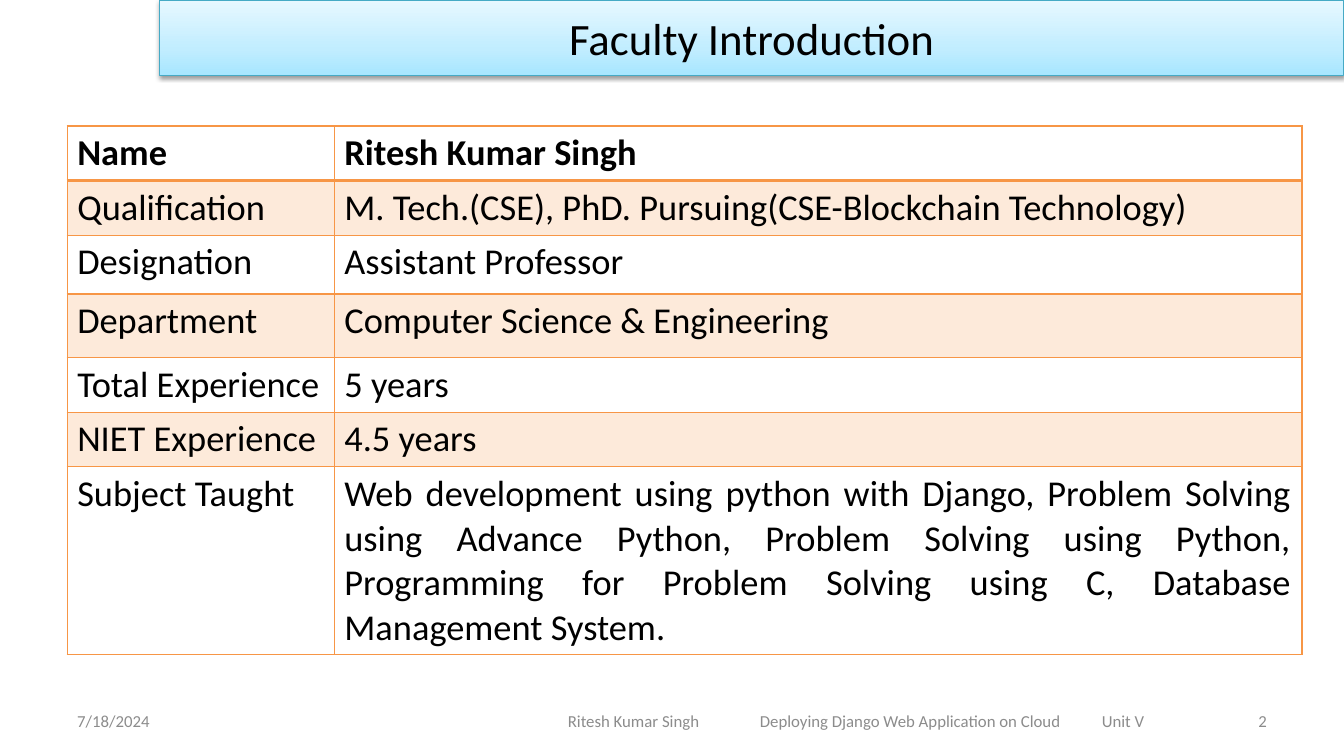
"""Build the faculty introduction slide: title band, profile table and footer."""
from lxml.etree import SubElement
from pptx import Presentation
from pptx.dml.color import RGBColor
from pptx.enum.text import MSO_ANCHOR, MSO_AUTO_SIZE, PP_ALIGN
from pptx.oxml.ns import qn
from pptx.util import Pt

TITLE = "Faculty Introduction"
PROFILE = [
    ("Name", "Ritesh Kumar Singh", 39),
    ("Qualification", "M. Tech.(CSE), PhD. Pursuing(CSE-Blockchain Technology)", 39),
    ("Designation", "Assistant Professor", 42),
    ("Department", "Computer Science & Engineering", 45.5),
    ("Total Experience", "5 years", 39),
    ("NIET Experience", "4.5 years", 39),
    ("Subject Taught", "Web development using python with Django, Problem Solving "
     "using Advance Python, Problem Solving using Python, Programming for Problem "
     "Solving using C, Database Management System.", 134),
]
COLUMN_WIDTHS = (190.8, 691.2)
FOOTERS = [
    ("7/18/2024", 48, 224, PP_ALIGN.LEFT),
    ("Ritesh Kumar Singh\tDeploying Django Web Application on Cloud\tUnit V",
     398.5, 450, PP_ALIGN.LEFT),
    ("2", 688, 224, PP_ALIGN.RIGHT),
]
FOOTER_TABS = (137.2, 381.4)
COLORS = {
    "text": "000000", "footer": "8C8C8C", "band_line": "46AAC5",
    "border": "F79646", "stripe": "FDEADA",
}
BAND_STOPS = [(0, "A7E6FF"), (35, "C1EDFF"), (100, "E7F8FF")]


def color(name):
    return RGBColor.from_string(COLORS[name])


def add_element(parent, tag, **attributes):
    return SubElement(parent, qn(tag), {key: str(value) for key, value in attributes.items()})


def format_text(frame, size, color_name, align, bold=False):
    for para in frame.paragraphs:
        para.alignment = align
        for span in para.runs:
            span.font.name = "Calibri"
            span.font.size = Pt(size)
            span.font.bold = bold
            span.font.color.rgb = color(color_name)


def place(shape, left, top, width, height):
    shape.left, shape.top = Pt(left), Pt(top)
    shape.width, shape.height = Pt(width), Pt(height)


def add_title(page):
    title = page.shapes.title
    place(title, 114, 0, 846, 54)
    properties = title._element.spPr
    gradient = add_element(properties, "a:gradFill", rotWithShape=1)
    stops = add_element(gradient, "a:gsLst")
    for position, value in BAND_STOPS:
        stop = add_element(stops, "a:gs", pos=position * 1000)
        add_element(stop, "a:srgbClr", val=value)
    add_element(gradient, "a:lin", ang=270 * 60000, scaled=1)
    title.line.color.rgb = color("band_line")
    title.line.width = Pt(0.75)
    effects = add_element(properties, "a:effectLst")
    shadow = add_element(effects, "a:outerShdw", blurRad=Pt(3.1), dist=Pt(1.6),
                         dir=90 * 60000, rotWithShape=0)
    shade = add_element(shadow, "a:srgbClr", val=COLORS["text"])
    add_element(shade, "a:alpha", val=38000)
    frame = title.text_frame
    frame.text = TITLE
    frame.auto_size = MSO_AUTO_SIZE.NONE
    frame.vertical_anchor = MSO_ANCHOR.MIDDLE
    format_text(frame, 32, "text", PP_ALIGN.CENTER)


def add_borders(cell, bottom_width):
    properties = cell._tc.get_or_add_tcPr()
    widths = {"a:lnL": 1, "a:lnR": 1, "a:lnT": 1, "a:lnB": bottom_width}
    for tag, width in widths.items():
        line = add_element(properties, tag, w=Pt(width))
        fill = add_element(line, "a:solidFill")
        add_element(fill, "a:srgbClr", val=COLORS["border"])


def add_profile(page):
    height = sum(row[2] for row in PROFILE)
    table = page.shapes.add_table(len(PROFILE), 2, Pt(48), Pt(90),
                                  Pt(sum(COLUMN_WIDTHS)), Pt(height)).table
    table.first_row = table.horz_banding = False
    for column, width in zip(table.columns, COLUMN_WIDTHS):
        column.width = Pt(width)
    for index, (label, value, row_height) in enumerate(PROFILE):
        table.rows[index].height = Pt(row_height)
        header, last = index == 0, index == len(PROFILE) - 1
        for cell, words in zip(table.rows[index].cells, (label, value)):
            cell.text = words
            align = PP_ALIGN.JUSTIFY if last and words == value else PP_ALIGN.LEFT
            format_text(cell.text_frame, 26, "text", align, header)
            add_borders(cell, 2 if header else 1)
            if index % 2:
                cell.fill.solid()
                cell.fill.fore_color.rgb = color("stripe")
            else:
                cell.fill.background()


def add_footers(page):
    for words, left, width, align in FOOTERS:
        box = page.shapes.add_textbox(Pt(left), Pt(500.5), Pt(width), Pt(28.8))
        frame = box.text_frame
        frame.word_wrap = True
        frame.vertical_anchor = MSO_ANCHOR.MIDDLE
        frame.text = words
        if "\t" in words:
            tabs = add_element(frame.paragraphs[0]._p.get_or_add_pPr(), "a:tabLst")
            for position in FOOTER_TABS:
                add_element(tabs, "a:tab", pos=Pt(position), algn="l")
        format_text(frame, 12, "footer", align)


def main():
    deck = Presentation()
    deck.slide_width, deck.slide_height = Pt(960), Pt(540)
    page = deck.slides.add_slide(deck.slide_layouts[5])
    add_footers(page)
    add_title(page)
    add_profile(page)
    deck.save("out.pptx")


if __name__ == "__main__":
    main()
